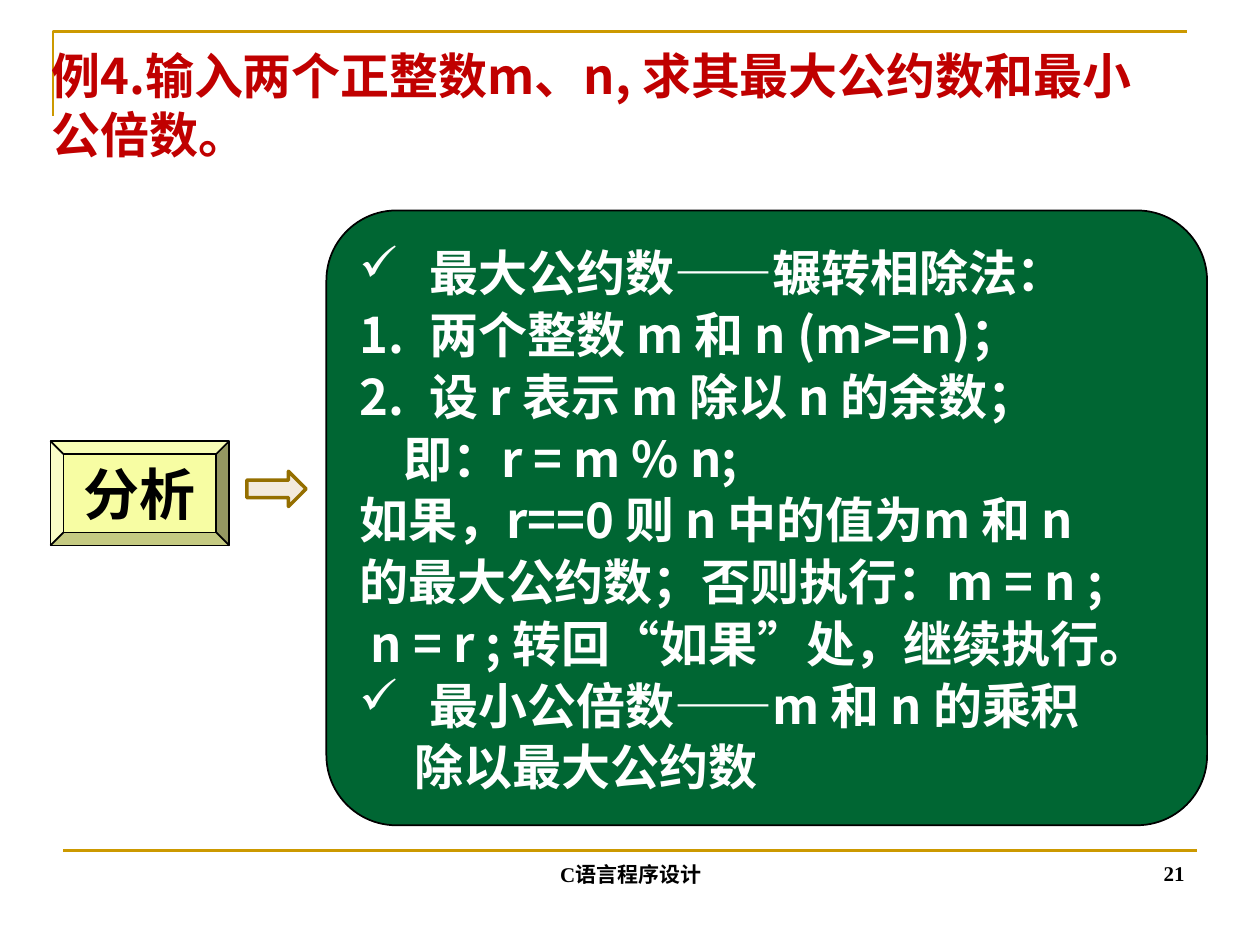
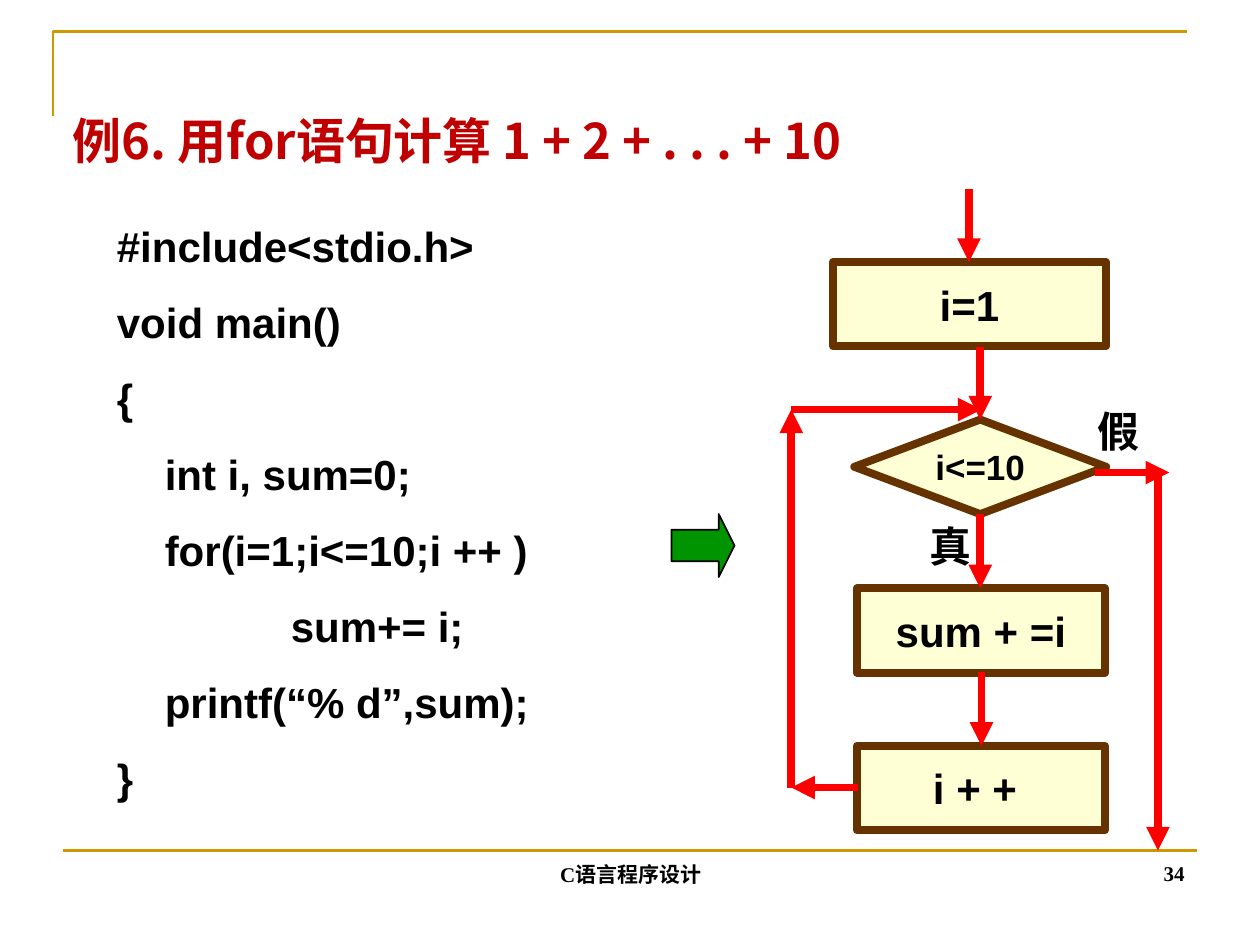
from dataclasses import dataclass

from lxml import etree
from pptx import Presentation
from pptx.dml.color import RGBColor
from pptx.enum.shapes import MSO_CONNECTOR, MSO_SHAPE
from pptx.enum.text import MSO_ANCHOR, PP_ALIGN
from pptx.oxml.ns import qn
from pptx.util import Inches, Pt

# Colours
GOLD = RGBColor(0xCC, 0x99, 0x00)
CRIMSON = RGBColor(0xC0, 0x00, 0x00)
BLACK = RGBColor(0x00, 0x00, 0x00)
WHITE = RGBColor(0xFF, 0xFF, 0xFF)
LEMON = RGBColor(0xF7, 0xFD, 0xA3)
FOREST = RGBColor(0x00, 0x66, 0x33)
SAND = RGBColor(0xF3, 0xEA, 0xDD)
BRONZE = RGBColor(0x95, 0x6F, 0x00)
CREAM = RGBColor(0xFF, 0xFF, 0xD5)
BROWN = RGBColor(0x66, 0x33, 0x00)
RED = RGBColor(0xFF, 0x00, 0x00)
GREEN = RGBColor(0x00, 0x94, 0x00)

# Fonts and enum members
ARIAL, TIMES = "Arial", "Times New Roman"
SANS_SC, SANS_JP = "Noto Sans CJK SC", "Noto Sans CJK JP"
LEFT, CENTER, RIGHT = PP_ALIGN.LEFT, PP_ALIGN.CENTER, PP_ALIGN.RIGHT
TOP, MIDDLE, BOTTOM = MSO_ANCHOR.TOP, MSO_ANCHOR.MIDDLE, MSO_ANCHOR.BOTTOM
RECT, ROUND = MSO_SHAPE.RECTANGLE, MSO_SHAPE.ROUNDED_RECTANGLE
BEVEL, ARROW = MSO_SHAPE.BEVEL, MSO_SHAPE.RIGHT_ARROW
CHOICE = MSO_SHAPE.FLOWCHART_DECISION
STRAIGHT = MSO_CONNECTOR.STRAIGHT

CHECK, NUMBER = "✓", "1."


@dataclass(frozen=True)
class Box:
    left: float
    top: float
    width: float
    height: float

    def frame(self) -> tuple:
        return tuple(map(Inches, (self.left, self.top, self.width, self.height)))


@dataclass(frozen=True)
class Para:
    text: str
    indent: float = 0
    mark: str = ""


@dataclass(frozen=True)
class Node:
    text: str
    box: Box
    kind: int = RECT
    size: int = 24


@dataclass(frozen=True)
class Link:
    x1: float
    y1: float
    x2: float
    y2: float


ANALYSIS = (
    Para("最大公约数——辗转相除法：", 0.56, CHECK),
    Para("两个整数 m 和 n (m>=n)；", 0.56, NUMBER),
    Para("设 r 表示 m 除以 n 的余数；", 0.56, NUMBER),
    Para("即：r = m % n;", 0.35),
    Para("如果，r==0 则 n 中的值为m 和 n"),
    Para("的最大公约数；否则执行：m = n ;"),
    Para("n = r ; 转回“如果”处，继续执行。", 0.09),
    Para("最小公倍数——m 和 n 的乘积", 0.56, CHECK),
    Para("除以最大公约数", 0.44),
)

CODE = (
    Para("#include<stdio.h>"),
    Para("void main()"),
    Para("{"),
    Para("int i, sum=0;", 0.38),
    Para("for(i=1;i<=10;i ++ )", 0.38),
    Para("sum+= i;", 1.38),
    Para("printf(“% d”,sum);", 0.38),
    Para("}"),
)

NODES = (
    Node("i=1", Box(6.61, 2.08, 2.17, 0.67)),
    Node("i<=10", Box(6.78, 3.33, 2, 0.75), CHOICE, 20),
    Node("sum + =i", Box(6.8, 4.67, 1.97, 0.67)),
    Node("i + + ", Box(6.8, 5.92, 1.97, 0.67)),
)

# Flow arrows: down the chart, back round the loop, out on false
AXIS, BACK, EXIT = 7.78, 6.28, 9.19
LINKS = (
    Link(7.69, 1.5, 7.69, 2.08),
    Link(AXIS, 2.75, AXIS, 3.33),
    Link(AXIS, 4.08, AXIS, 4.67),
    Link(7.79, 5.33, 7.79, 5.92),
    Link(6.81, 6.25, BACK, 6.25),
    Link(BACK, 6.25, BACK, 3.25),
    Link(BACK, 3.25, 7.79, 3.25),
    Link(8.69, 3.75, 9.28, 3.75),
    Link(EXIT, 3.75, EXIT, 6.75),
)

LABELS = (("假", Box(8.61, 3.17, 0.67, 0.5)), ("真", Box(7.28, 4.08, 0.67, 0.5)))


def set_mark(para, mark: str, indent: float, color: RGBColor) -> None:
    """Give a paragraph its left indent and, if marked, a hanging bullet."""
    props = para._p.get_or_add_pPr()
    props.set("marL", str(Inches(indent)))
    props.set("indent", str(-Inches(indent) if mark else 0))
    if not mark:
        etree.SubElement(props, qn("a:buNone"))
        return
    tint = etree.SubElement(props, qn("a:buClr"))
    etree.SubElement(tint, qn("a:srgbClr")).set("val", str(color))
    if mark == NUMBER:
        etree.SubElement(props, qn("a:buAutoNum")).set("type", "arabicPeriod")
    else:
        etree.SubElement(props, qn("a:buChar")).set("char", mark)


def write(shape, text, *, size: float, font: str = ARIAL, east: str = "",
          color: RGBColor = BLACK, align=LEFT, anchor=TOP, wrap: bool = True,
          space: float = 1.0, before: float = 0) -> None:
    """Fill a shape with one string or a series of Para items."""
    frame = shape.text_frame
    frame.word_wrap = wrap
    frame.vertical_anchor = anchor
    items = (Para(text),) if isinstance(text, str) else text
    for i, item in enumerate(items):
        para = frame.add_paragraph() if i else frame.paragraphs[0]
        set_mark(para, item.mark, item.indent, color)
        para.alignment = align
        para.line_spacing = space
        para.space_before = Pt(before if i else 0)
        run = para.add_run()
        run.text = item.text
        run.font.size = Pt(size)
        run.font.bold = True
        run.font.color.rgb = color
        run.font.name = font
        face = etree.SubElement(run._r.get_or_add_rPr(), qn("a:ea"))
        face.set("typeface", east or font)


def add_text(slide, box: Box, text, **style) -> None:
    write(slide.shapes.add_textbox(*box.frame()), text, **style)


def add_form(slide, kind: int, box: Box, fill: RGBColor, line: RGBColor,
             weight: float, adjust: tuple = ()):
    form = slide.shapes.add_shape(kind, *box.frame())
    form.shadow.inherit = False
    form.fill.solid()
    form.fill.fore_color.rgb = fill
    form.line.color.rgb = line
    form.line.width = Pt(weight)
    for i, value in enumerate(adjust):
        form.adjustments[i] = value
    return form


def add_link(slide, link: Link, color: RGBColor, weight: float,
             arrow: bool = False) -> None:
    ends = map(Inches, (link.x1, link.y1, link.x2, link.y2))
    line = slide.shapes.add_connector(STRAIGHT, *ends)
    line.line.color.rgb = color
    line.line.width = Pt(weight)
    if arrow:
        tail = etree.SubElement(line.line._get_or_add_ln(), qn("a:tailEnd"))
        tail.set("type", "triangle")
    etree.SubElement(line._element.spPr, qn("a:effectLst"))


def add_base(deck, number: int):
    """Start a slide with the gold rules, footer and page number."""
    slide = deck.slides.add_slide(deck.slide_layouts[6])
    path = slide.shapes.build_freeform(Inches(0.42), Inches(0.92))
    path.add_line_segments(
        [(Inches(0.42), Inches(0.25)), (Inches(9.42), Inches(0.25))], close=False)
    corner = path.convert_to_shape()
    corner.shadow.inherit = False
    corner.fill.background()
    corner.line.color.rgb = GOLD
    corner.line.width = Pt(1.5)
    add_link(slide, Link(0.5, 6.75, 9.5, 6.75), GOLD, 1.5)
    foot = dict(size=12, font=TIMES, east=SANS_SC, anchor=BOTTOM)
    add_text(slide, Box(3.42, 6.59, 3.17, 0.5), "C语言程序设计", align=CENTER, **foot)
    add_text(slide, Box(7.17, 6.58, 2.33, 0.5), str(number), align=RIGHT, **foot)
    return slide


def add_title(slide, box: Box, text: str, **style) -> None:
    add_text(slide, box, text, size=28, font=SANS_SC, color=CRIMSON, **style)


def build_divisor(deck) -> None:
    slide = add_base(deck, 21)
    add_title(slide, Box(0.31, 0.31, 8.98, 1.04),
              "例4.输入两个正整数m、n, 求其最大公约数和最小公倍数。")
    # Analysis button, arrow and panel
    button = add_form(slide, BEVEL, Box(0.4, 3.5, 1.42, 0.83), LEMON, BLACK, 1, (0.125,))
    write(button, "分析", size=32, font=SANS_JP, align=CENTER, anchor=MIDDLE, wrap=False)
    panel = add_form(slide, ROUND, Box(2.59, 1.67, 6.99, 4.88), FOREST, BLACK, 1, (0.114,))
    write(panel, ANALYSIS, size=28, font=SANS_JP, color=WHITE, anchor=MIDDLE, space=1.05)
    add_form(slide, ARROW, Box(1.96, 3.74, 0.47, 0.28), SAND, BRONZE, 2, (0.5, 0.5))


def build_loop(deck) -> None:
    slide = add_base(deck, 34)
    add_title(slide, Box(0.48, 0.7, 8.27, 0.78),
              "例6. 用for语句计算 1 + 2 + . . . + 10", anchor=MIDDLE, space=1.1)
    # Program text
    add_text(slide, Box(0.83, 1.58, 4.5, 4.92), CODE, size=24, space=1.3, before=6)
    add_form(slide, ARROW, Box(5.33, 4.08, 0.5, 0.5), GREEN, BLACK, 1, (0.5, 0.25))
    # Flow chart
    for node in NODES:
        form = add_form(slide, node.kind, node.box, CREAM, BROWN, 4.5)
        write(form, node.text, size=node.size, align=CENTER, anchor=MIDDLE, wrap=False)
    for link in LINKS:
        add_link(slide, link, RED, 4.5, arrow=True)
    for text, box in LABELS:
        add_text(slide, box, text, size=24, east=SANS_SC)


def main() -> None:
    deck = Presentation()
    deck.slide_width, deck.slide_height = Inches(10), Inches(7.5)
    build_divisor(deck)
    build_loop(deck)
    deck.save("out.pptx")


if __name__ == "__main__":
    main()
